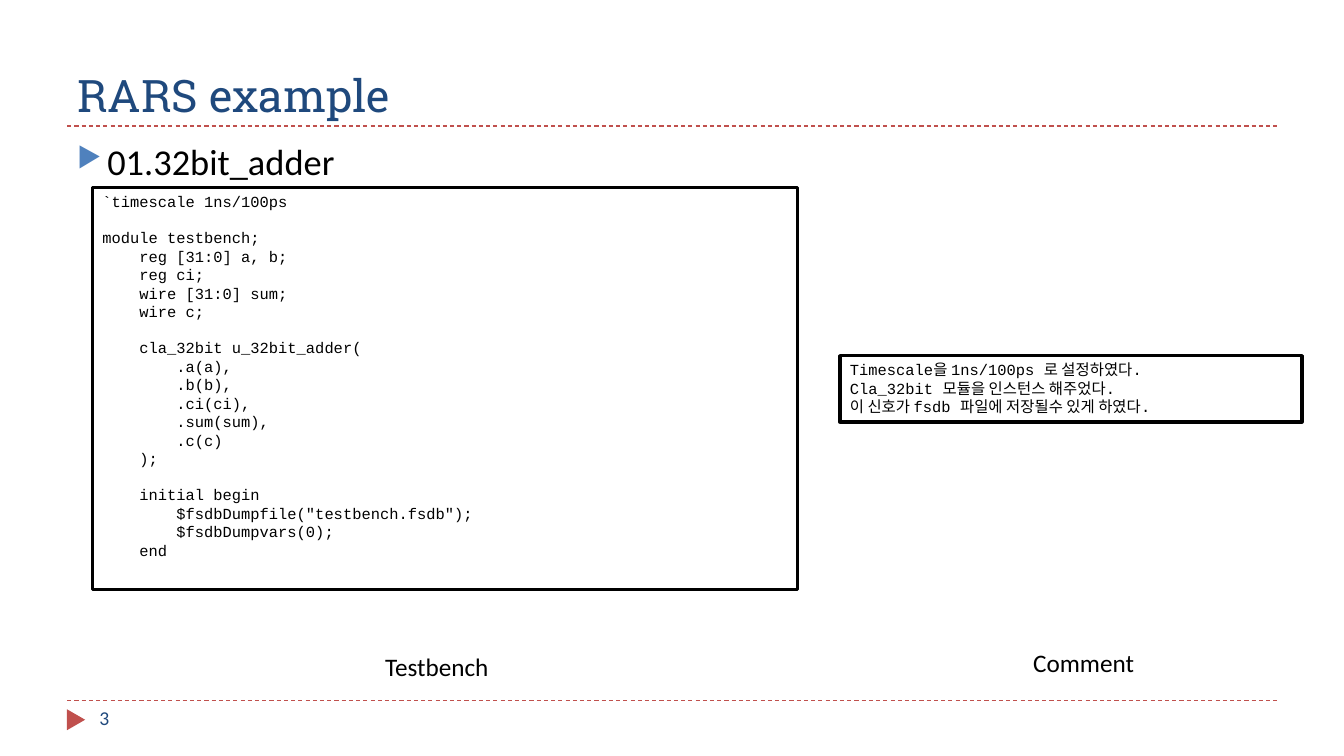
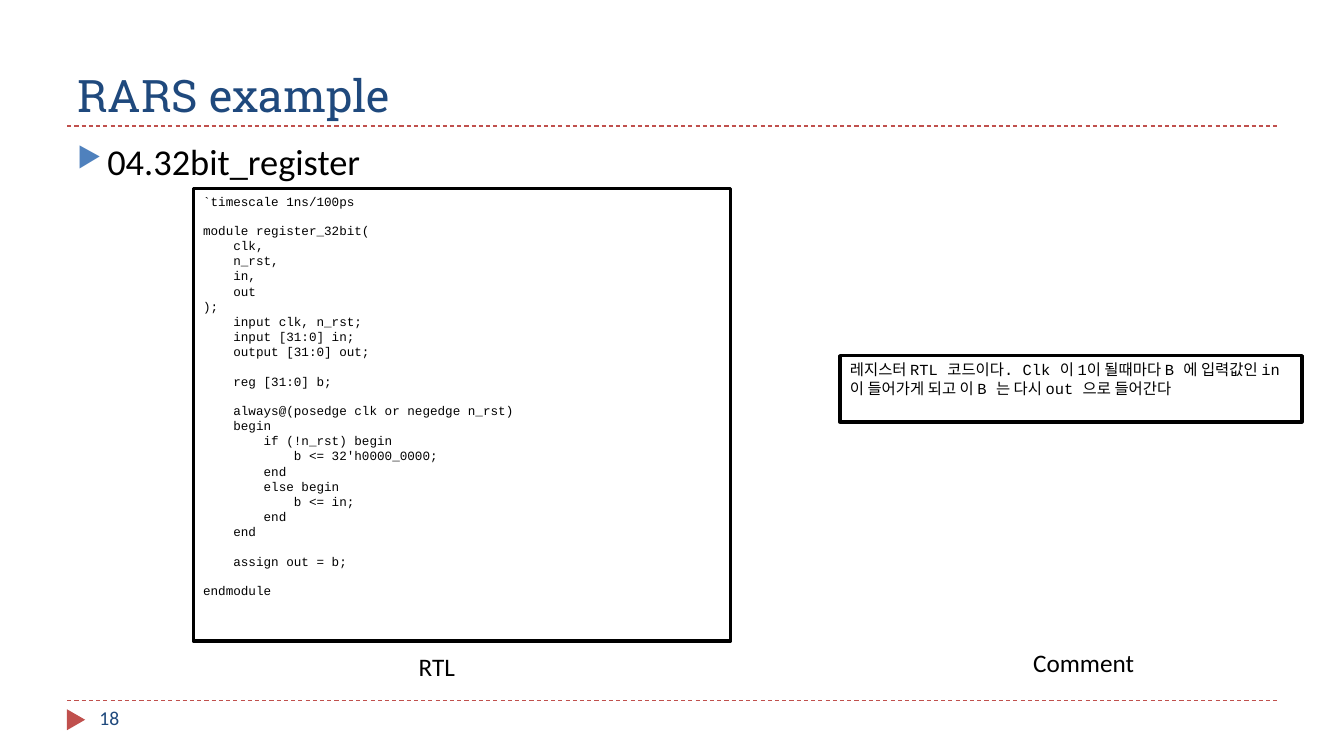
from lxml import etree
from pptx import Presentation
from pptx.dml.color import RGBColor
from pptx.enum.dml import MSO_LINE
from pptx.enum.shapes import MSO_CONNECTOR, MSO_SHAPE
from pptx.enum.text import MSO_ANCHOR, PP_ALIGN
from pptx.oxml.ns import qn
from pptx.util import Pt

STRAIGHT = MSO_CONNECTOR.STRAIGHT
DASH = MSO_LINE.DASH
RECTANGLE = MSO_SHAPE.RECTANGLE
TRIANGLE = MSO_SHAPE.ISOSCELES_TRIANGLE
TOP, BOTTOM = MSO_ANCHOR.TOP, MSO_ANCHOR.BOTTOM
LEFT, CENTER = PP_ALIGN.LEFT, PP_ALIGN.CENTER

NAVY = RGBColor(0x1F, 0x49, 0x7D)
RED = RGBColor(0xC0, 0x50, 0x4D)
BLUE = RGBColor(0x4F, 0x81, 0xBD)
BLACK = RGBColor(0, 0, 0)

TITLE_FONT = "Roboto Slab"
BODY_FONT = "Calibri"
CODE_FONT = "Courier New"
CODE_LINE_HEIGHT = 1.13

MARGIN = 48
CONTENT_WIDTH = 864
RULES = (90, 500.4)
COMMENT_BOX = (600, 254, 330, 47.5)

TESTBENCH = """\
`timescale 1ns/100ps

module testbench;
    reg [31:0] a, b;
    reg ci;
    wire [31:0] sum;
    wire c;

    cla_32bit u_32bit_adder(
        .a(a),
        .b(b),
        .ci(ci),
        .sum(sum),
        .c(c)
    );

    initial begin
        $fsdbDumpfile("testbench.fsdb");
        $fsdbDumpvars(0);
    end"""

REGISTER = """\
`timescale 1ns/100ps

module register_32bit(
    clk,
    n_rst,
    in,
    out
);
    input clk, n_rst;
    input [31:0] in;
    output [31:0] out;

    reg [31:0] b;

    always@(posedge clk or negedge n_rst)
    begin
        if (!n_rst) begin
            b <= 32'h0000_0000;
        end
        else begin
            b <= in;
        end
    end

    assign out = b;

endmodule"""

TESTBENCH_COMMENT = """\
Timescale을 1ns/100ps 로 설정하였다.
Cla_32bit 모듈을 인스턴스 해주었다.
이 신호가 fsdb 파일에 저장될수 있게 하였다."""

REGISTER_COMMENT = (
    "레지스터 RTL 코드이다. Clk 이 1이 될때마다 B 에 입력값인 "
    "in 이 들어가게 되고 이 B 는 다시 out 으로 들어간다"
)


def points(box):
    return [Pt(v) for v in box]


def set_font(p, name, size, color):
    p.font.name = name
    p.font.size = Pt(size)
    p.font.color.rgb = color


def add_text(slide, box, text, name, size, color, align=LEFT, anchor=TOP):
    tf = slide.shapes.add_textbox(*points(box)).text_frame
    tf.word_wrap = True
    tf.vertical_anchor = anchor
    p = tf.paragraphs[0]
    p.text = text
    p.alignment = align
    set_font(p, name, size, color)
    return p


def add_rule(slide, y):
    line = slide.shapes.add_connector(
        STRAIGHT, *points((MARGIN, y, MARGIN + CONTENT_WIDTH, y)))
    line.line.color.rgb = RED
    line.line.width = Pt(0.75)
    line.line.dash_style = DASH
    etree.SubElement(line._element.spPr, qn("a:effectLst"))


def add_marker(slide):
    sp = slide.shapes.add_shape(TRIANGLE, *points((46.8, 507.6, 15, 13)))
    sp.rotation = 90
    sp.shadow.inherit = False
    sp.fill.solid()
    sp.fill.fore_color.rgb = RED
    sp.line.fill.background()


def add_heading(slide, text):
    p = add_text(slide, (MARGIN, 96, CONTENT_WIDTH, 389), text,
                 BODY_FONT, 26, BLACK)
    pPr = p._p.get_or_add_pPr()
    pPr.set("marL", str(Pt(21.6)))
    pPr.set("indent", str(-Pt(21.6)))
    color = etree.Element(qn("a:buClr"))
    etree.SubElement(color, qn("a:srgbClr"), val=str(BLUE))
    size = etree.Element(qn("a:buSzPct"), val="76000")
    char = etree.Element(qn("a:buChar"), char="▶")
    for i, element in enumerate((color, size, char)):
        pPr.insert(i, element)


def add_code_box(slide, box, text, size):
    sp = slide.shapes.add_shape(RECTANGLE, *points(box))
    sp.shadow.inherit = False
    sp.fill.background()
    sp.line.color.rgb = BLACK
    sp.line.width = Pt(2.25)
    tf = sp.text_frame
    tf.word_wrap = True
    tf.vertical_anchor = TOP
    lines = text.split("\n")
    tf.text = "\n".join(line for line in lines if line)
    after_gap = [not before for before, line in zip(["start"] + lines, lines)
                 if line]
    for p, gap in zip(tf.paragraphs, after_gap):
        p.alignment = LEFT
        if gap:
            p.space_before = Pt(size * CODE_LINE_HEIGHT)
        set_font(p, CODE_FONT, size, BLACK)


def add_caption(slide, box, text):
    add_text(slide, box, text, BODY_FONT, 18, BLACK, CENTER)


def add_code_slide(prs, number, heading, code, code_box, code_size,
                   caption, comment):
    slide = prs.slides.add_slide(prs.slide_layouts[6])
    for y in RULES:
        add_rule(slide, y)
    add_marker(slide)
    add_text(slide, (MARGIN, 12, CONTENT_WIDTH, 78), "RARS example",
             TITLE_FONT, 32, NAVY, anchor=BOTTOM)
    add_heading(slide, heading)
    add_text(slide, (64, 500.4, 208, 29), number, BODY_FONT, 14, NAVY)
    add_code_box(slide, code_box, code, code_size)
    add_caption(slide, (156, 461.5, 312, 29), caption)
    add_code_box(slide, COMMENT_BOX, comment, 11)
    add_caption(slide, (534, 458.6, 480, 29), "Comment")


def main():
    prs = Presentation()
    prs.slide_width, prs.slide_height = Pt(960), Pt(540)
    add_code_slide(prs, "3", "01.32bit_adder", TESTBENCH,
                   (66, 134, 504, 287), 11, "Testbench", TESTBENCH_COMMENT)
    add_code_slide(prs, "18", "04.32bit_register", REGISTER,
                   (138, 134.6, 384, 323.3), 9, "RTL", REGISTER_COMMENT)
    prs.save("out.pptx")


if __name__ == "__main__":
    main()
